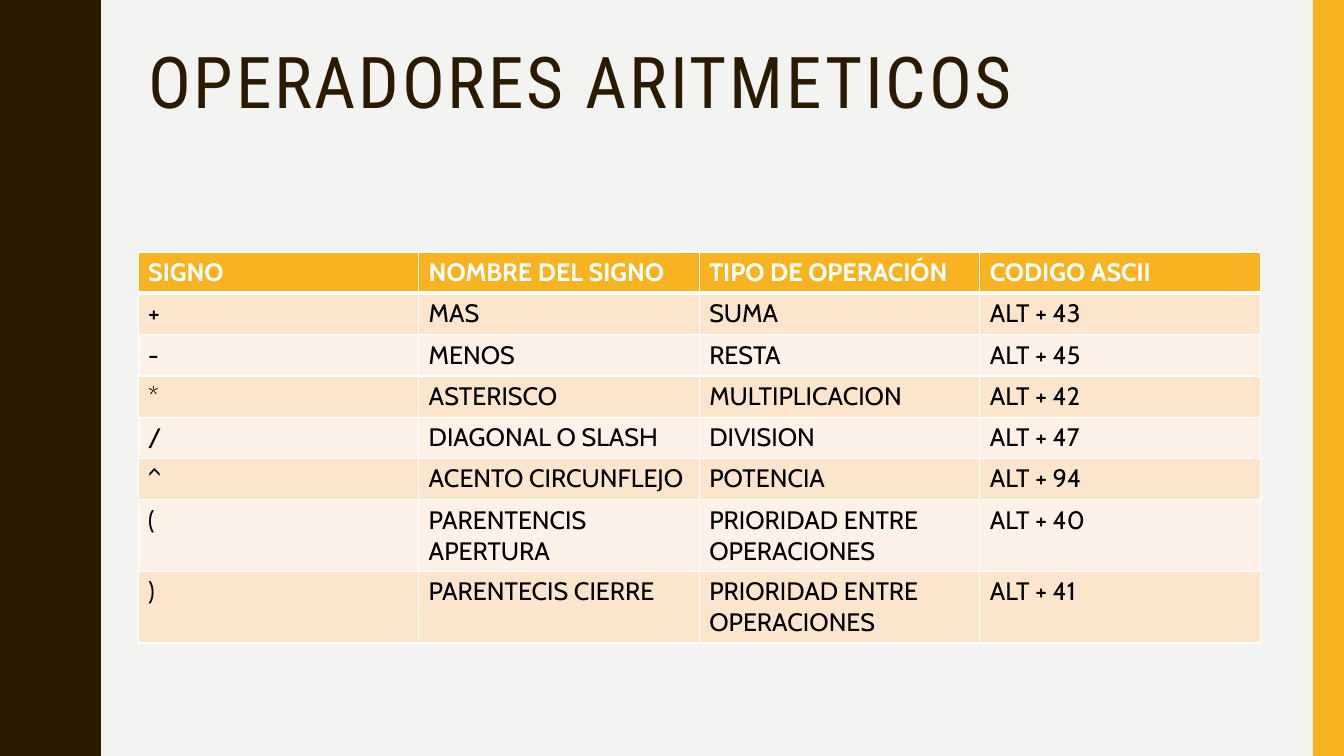
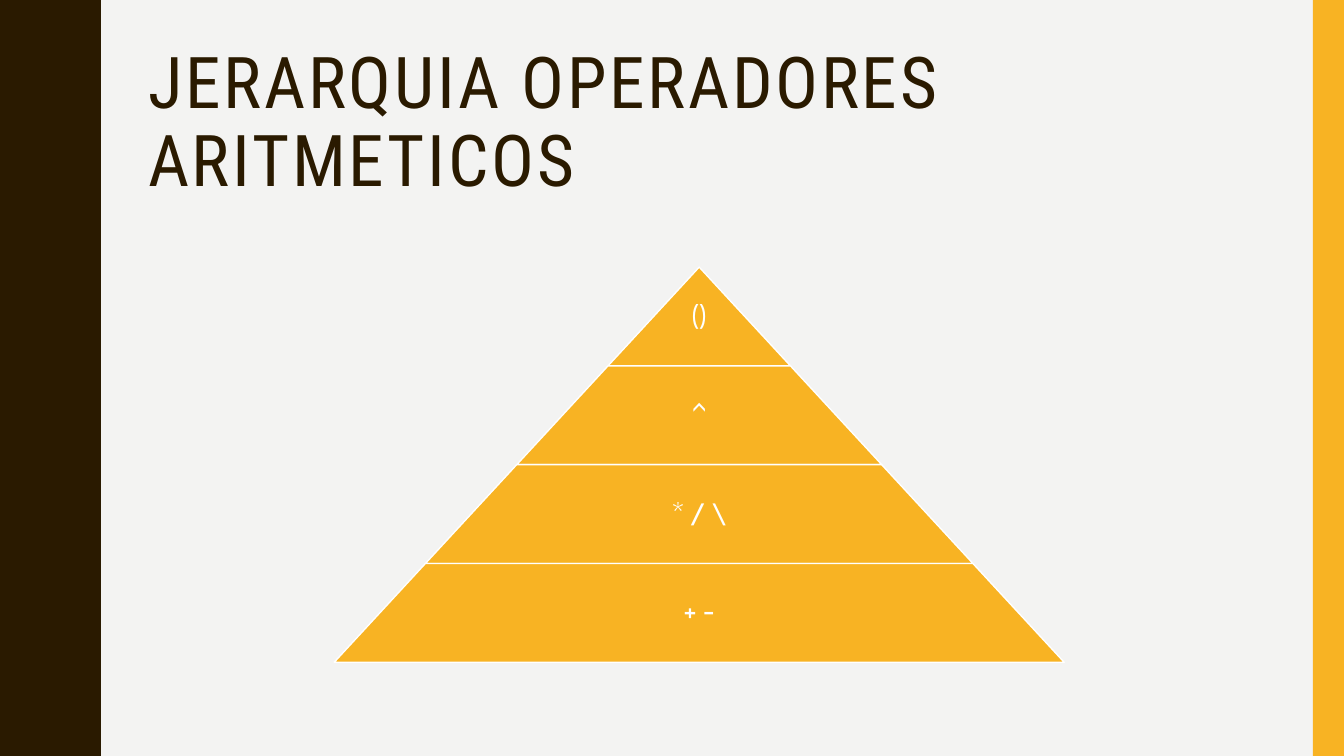
from lxml import etree
from pptx import Presentation
from pptx.dml.color import RGBColor
from pptx.enum.shapes import MSO_SHAPE
from pptx.enum.text import MSO_ANCHOR, PP_ALIGN
from pptx.oxml.ns import qn
from pptx.util import Inches, Pt

RECTANGLE, TRAPEZOID = MSO_SHAPE.RECTANGLE, MSO_SHAPE.TRAPEZOID
MIDDLE, CENTER = MSO_ANCHOR.MIDDLE, PP_ALIGN.CENTER

PAPER = RGBColor(0xF3, 0xF3, 0xF2)
BROWN = RGBColor(0x2A, 0x1A, 0x00)
AMBER = RGBColor(0xF8, 0xB3, 0x23)
PEACH = RGBColor(0xFC, 0xE5, 0xCD)
CREAM = RGBColor(0xFE, 0xF2, 0xE8)
WHITE = RGBColor(0xFF, 0xFF, 0xFF)
BLACK = RGBColor(0x00, 0x00, 0x00)
TITLE_FONT, BODY_FONT = "Roboto Condensed", "Cabin"

OPERATORS_TITLE = "OPERADORES ARITMETICOS"
OPERATORS = [
    ("SIGNO", "NOMBRE DEL SIGNO", "TIPO DE OPERACIÓN", "CODIGO ASCII"),
    ("+", "MAS", "SUMA", "ALT + 43"),
    ("-", "MENOS", "RESTA", "ALT + 45"),
    ("*", "ASTERISCO", "MULTIPLICACION", "ALT + 42"),
    ("/", "DIAGONAL O SLASH", "DIVISION", "ALT + 47"),
    ("^", "ACENTO CIRCUNFLEJO", "POTENCIA", "ALT + 94"),
    ("(", "PARENTENCIS APERTURA", "PRIORIDAD ENTRE OPERACIONES", "ALT + 40"),
    (")", "PARENTECIS CIERRE", "PRIORIDAD ENTRE OPERACIONES", "ALT + 41"),
]
ROW_HEIGHTS = [0.41] * 6 + [0.71] * 2
HIERARCHY_TITLE = "JERARQUIA OPERADORES ARITMETICOS"
HIERARCHY = ["()", "^", "* / \\", "+ -"]

SLIDE_W, SLIDE_H = 13.33, 7.5
LEFT, CONTENT_W = 1.37, 11.13
BAND_W = 0.31
WAVE_PERIOD = 1.5
HALF_WAVE = [
    (0.78, 0), (0.78, 0.07), (0.79, 0.14), (0.8, 0.2), (0.81, 0.25),
    (0.83, 0.29), (0.85, 0.33), (0.87, 0.38), (0.89, 0.42), (0.91, 0.46),
    (0.93, 0.5), (0.95, 0.55), (0.96, 0.61), (0.97, 0.68), (0.97, 0.75),
]
LEVEL_TOP, LEVEL_H, LEVEL_STEP = 2.65, 0.98, 1.81


def paint(shape, color):
    shape.shadow.inherit = False
    shape.fill.solid()
    shape.fill.fore_color.rgb = color
    shape.line.fill.background()


def style(paragraph, name, size, color, bold=False):
    font = paragraph.font
    font.name, font.size, font.bold = name, Pt(size), bold
    font.color.rgb = color


def add_wave(slide):
    falling = [(x, WAVE_PERIOD - y) for x, y in reversed(HALF_WAVE[:-1])]
    wave = HALF_WAVE + falling
    edge = [(x, y + n * WAVE_PERIOD)
            for n in range(int(SLIDE_H / WAVE_PERIOD)) for x, y in wave]
    outline = slide.shapes.build_freeform(0, 0, scale=Inches(1))
    outline.add_line_segments(edge + [(0, SLIDE_H)], close=True)
    paint(outline.convert_to_shape(), BROWN)


def add_slide(prs, title):
    slide = prs.slides.add_slide(prs.slide_layouts[6])
    add_wave(slide)
    band = slide.shapes.add_shape(
        RECTANGLE, Inches(SLIDE_W - BAND_W), 0, Inches(BAND_W), Inches(SLIDE_H))
    paint(band, AMBER)
    heading = slide.shapes.add_textbox(
        Inches(LEFT), Inches(0.42), Inches(CONTENT_W), Inches(1.63)).text_frame
    heading.word_wrap = True
    paragraph = heading.paragraphs[0]
    paragraph.text = title
    paragraph.line_spacing = 0.9
    style(paragraph, TITLE_FONT, 51, BROWN)
    paragraph._p.get_or_add_pPr().get_or_add_defRPr().set("spc", "200")
    return slide


def add_borders(cell, row):
    widths = {"L": 1, "R": 1, "T": 3 if row == 1 else 1, "B": 3 if row == 0 else 1}
    properties = cell._tc.get_or_add_tcPr()
    for side, width in widths.items():
        line = etree.SubElement(properties, qn(f"a:ln{side}"), w=str(Pt(width)))
        fill = etree.SubElement(line, qn("a:solidFill"))
        etree.SubElement(fill, qn("a:srgbClr"), val=str(WHITE))


def add_operators(slide):
    columns = len(OPERATORS[0])
    table = slide.shapes.add_table(
        len(OPERATORS), columns, Inches(LEFT), Inches(2.5),
        Inches(CONTENT_W), Inches(sum(ROW_HEIGHTS))).table
    for column in table.columns:
        column.width = Inches(CONTENT_W / columns)
    for r, (texts, height) in enumerate(zip(OPERATORS, ROW_HEIGHTS)):
        table.rows[r].height = Inches(height)
        header = r == 0
        background = AMBER if header else (CREAM, PEACH)[r % 2]
        for c, text in enumerate(texts):
            cell = table.cell(r, c)
            cell.text = text
            style(cell.text_frame.paragraphs[0], BODY_FONT, 18,
                  WHITE if header else BLACK, header)
            add_borders(cell, r)
            cell.fill.solid()
            cell.fill.fore_color.rgb = background


def add_hierarchy(slide):
    pyramid = slide.shapes.add_group_shape()
    center = LEFT + CONTENT_W / 2
    for level, signs in enumerate(HIERARCHY, start=1):
        width = level * LEVEL_STEP
        tier = pyramid.shapes.add_shape(
            TRAPEZOID, Inches(center - width / 2),
            Inches(LEVEL_TOP + (level - 1) * LEVEL_H), Inches(width), Inches(LEVEL_H))
        tier.adjustments[0] = LEVEL_STEP / 2 / LEVEL_H
        paint(tier, AMBER)
        tier.line.color.rgb = WHITE
        tier.line.width = Pt(1)
        frame = tier.text_frame
        frame.word_wrap = True
        frame.vertical_anchor = MIDDLE
        frame.margin_left = frame.margin_right = frame.margin_top = 0
        frame.margin_bottom = Inches(LEVEL_H / 3 / level)
        paragraph = frame.paragraphs[0]
        paragraph.text = signs
        paragraph.alignment = CENTER
        paragraph.line_spacing = 0.9
        style(paragraph, BODY_FONT, 20, WHITE)


def main():
    prs = Presentation()
    prs.slide_width, prs.slide_height = Inches(SLIDE_W), Inches(SLIDE_H)
    background = prs.slide_master.background.fill
    background.solid()
    background.fore_color.rgb = PAPER
    add_operators(add_slide(prs, OPERATORS_TITLE))
    add_hierarchy(add_slide(prs, HIERARCHY_TITLE))
    prs.save("out.pptx")


if __name__ == "__main__":
    main()
